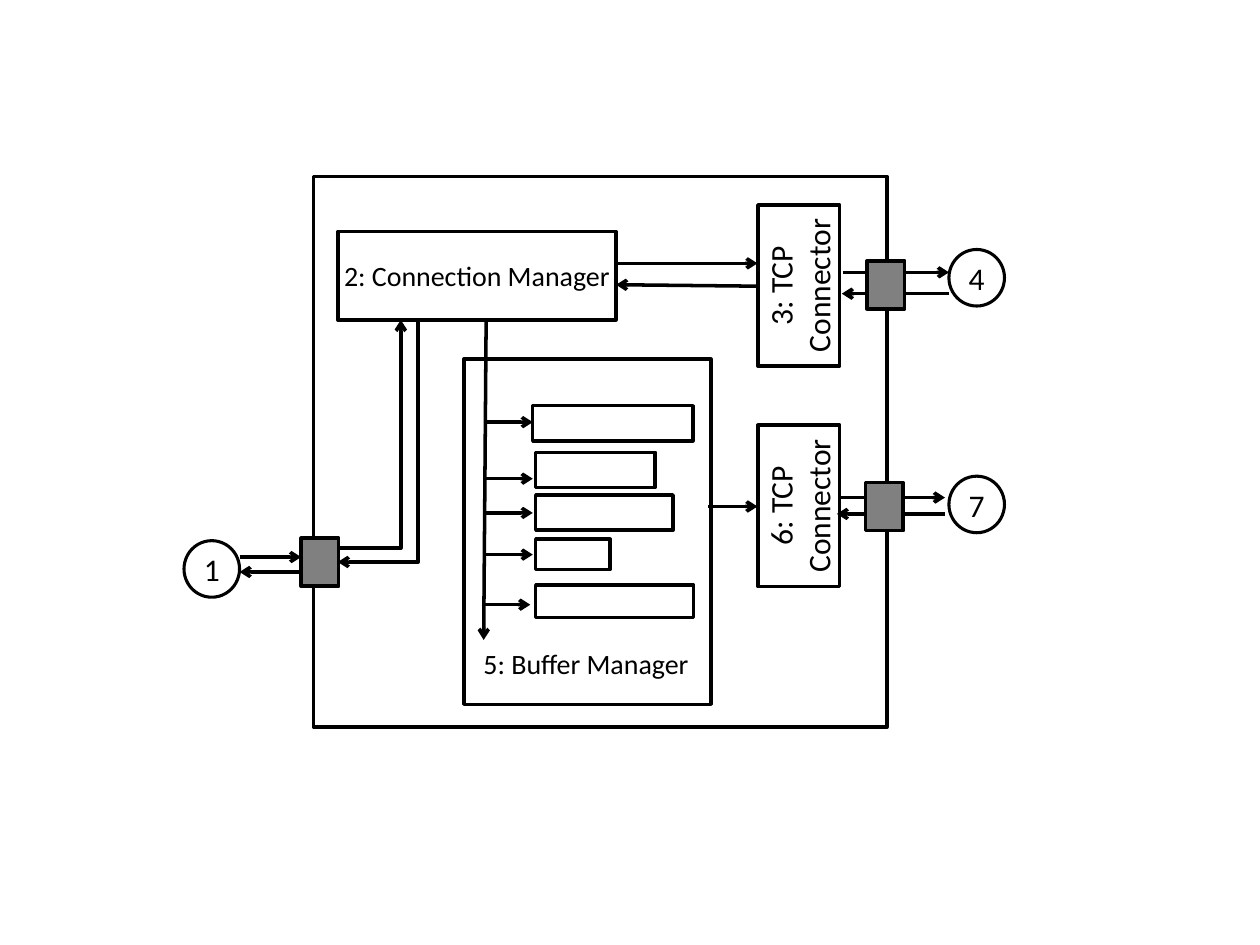
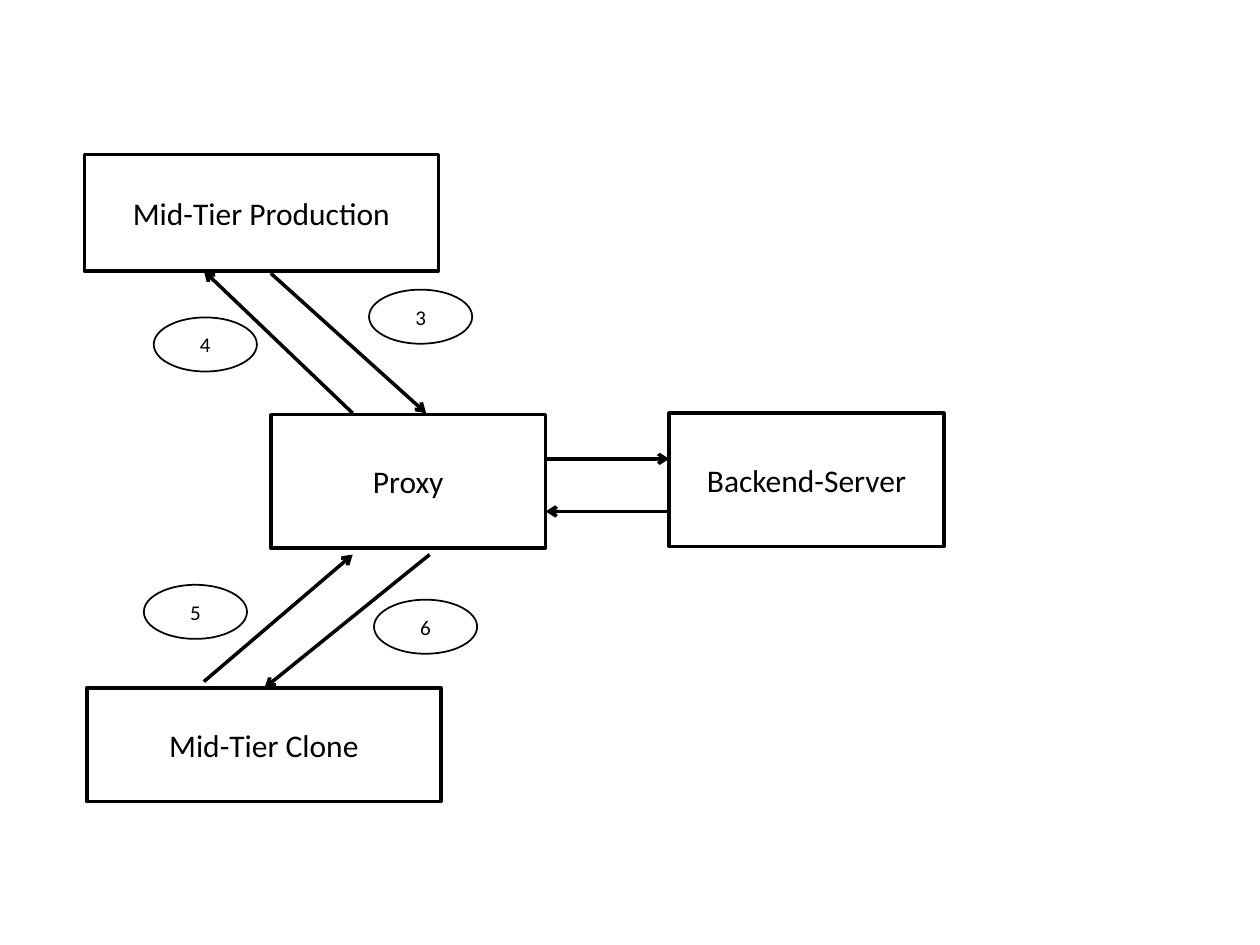
from pptx import Presentation
from pptx.dml.color import RGBColor
from pptx.enum.shapes import MSO_CONNECTOR as Link, MSO_SHAPE as Shape
from pptx.enum.text import MSO_ANCHOR as Anchor, PP_ALIGN as Align
from pptx.oxml.ns import qn
from pptx.util import Cm, Pt
from lxml.etree import SubElement

FONT = "Calibri"
INK = "000000"
PORT_GREY = "808080"
LINE_WIDTH = 2


def color(hex_code):
    return RGBColor.from_string(hex_code)


def write(shape, text, size=18, align=Align.CENTER):
    frame = shape.text_frame
    frame.word_wrap = True
    frame.vertical_anchor = Anchor.MIDDLE
    frame.margin_left = frame.margin_right = 0
    frame.margin_top = frame.margin_bottom = 0
    para = frame.paragraphs[0]
    para.alignment = align
    span = para.add_run()
    span.text = text
    span.font.name = FONT
    span.font.size = Pt(size)
    span.font.color.rgb = color(INK)


def add_box(page, left, top, width, height, text="", size=18,
            kind=Shape.RECTANGLE, fill=None, line=LINE_WIDTH, rotation=0):
    box = page.shapes.add_shape(kind, Cm(left), Cm(top), Cm(width), Cm(height))
    box.shadow.inherit = False
    box.rotation = rotation
    if fill:
        box.fill.solid()
        box.fill.fore_color.rgb = color(fill)
    else:
        box.fill.background()
    box.line.color.rgb = color(INK)
    box.line.width = Pt(line)
    if text:
        write(box, text, size)
    return box


def add_label(page, left, top, width, height, text, size):
    label = page.shapes.add_textbox(Cm(left), Cm(top), Cm(width), Cm(height))
    write(label, text, size)


def add_arrow(page, x1, y1, x2, y2, kind=Link.STRAIGHT, end="a:tailEnd"):
    arrow = page.shapes.add_connector(kind, Cm(x1), Cm(y1), Cm(x2), Cm(y2))
    arrow.line.color.rgb = color(INK)
    arrow.line.width = Pt(LINE_WIDTH)
    properties = arrow._element.spPr
    SubElement(properties.find(qn("a:ln")), qn(end), type="arrow")
    SubElement(properties, qn("a:effectLst"))
    return arrow


def add_elbow(page, right, top, left, bottom, end):
    """Line down from (right, top), then left to (left, bottom)."""
    center_x, center_y = (left + right) / 2, (top + bottom) / 2
    half_long, half_short = (bottom - top) / 2, (right - left) / 2
    # The box lies on its side and is turned by a quarter.
    elbow = add_arrow(page, center_x - half_long, center_y - half_short,
                      center_x + half_long, center_y + half_short,
                      Link.ELBOW, end)
    properties = elbow._element.spPr
    properties.find(qn("a:xfrm")).set("rot", str(90 * 60000))
    properties.find(qn("a:prstGeom")).set("prst", "bentConnector2")


def add_buffer_manager(page):
    add_box(page, 9.35, 7.24, 4.98, 6.96)
    add_label(page, 9.35, 12.9, 4.93, 0.94, "5: Buffer Manager", 16)
    add_arrow(page, 9.8, 6.45, 9.75, 12.9)
    buffers = [  # arrow start, arrow height, left, top, width, height
        (9.8, 8.51, 10.74, 8.18, 3.23, 0.71),
        (9.8, 9.65, 10.8, 9.12, 2.41, 0.71),
        (9.8, 10.34, 10.8, 9.98, 2.77, 0.71),
        (9.8, 11.18, 10.8, 10.87, 1.5, 0.61),
        (9.75, 12.19, 10.8, 11.79, 3.18, 0.66),
    ]
    for start, level, left, top, width, height in buffers:
        add_arrow(page, start, level, start + 0.94, level)
        add_box(page, left, top, width, height)


def build_proxy_inside(page):
    add_box(page, 6.32, 3.56, 11.56, 11.1)
    add_box(page, 6.81, 4.67, 5.61, 1.78, "2: Connection Manager", 16)
    for text, top in [("3: TCP Connector", 4.93), ("6: TCP Connector", 9.37)]:
        add_box(page, 14.48, top, 3.25, 1.65, text, rotation=270)
    add_buffer_manager(page)

    arrows = [
        (4.83, 11.23, 6.07, 11.23), (6.07, 11.53, 4.83, 11.53),
        (12.42, 5.31, 15.27, 5.31), (15.27, 5.77, 12.42, 5.74),
        (16.99, 5.49, 19.13, 5.49), (19.13, 5.92, 16.97, 5.92),
        (14.27, 10.21, 15.27, 10.21),
        (16.89, 10.03, 19.05, 10.03), (19.05, 10.36, 16.87, 10.36),
    ]
    for ends in arrows:
        add_arrow(page, *ends)
    add_elbow(page, 8.08, 6.45, 6.81, 11.05, "a:headEnd")
    add_elbow(page, 8.43, 6.45, 6.81, 11.33, "a:tailEnd")

    for left, top in [(6.07, 10.85), (17.48, 5.26), (17.45, 9.73)]:
        add_box(page, left, top, 0.76, 0.97, fill=PORT_GREY)
    for number, left, top in [("1", 3.71, 10.9), ("4", 19.13, 5.03),
                              ("7", 19.13, 9.6)]:
        add_box(page, left, top, 1.12, 1.14, number,
                kind=Shape.OVAL, line=1.75)


def build_tiers(page):
    servers = [
        ("Proxy", 5.46, 8.36, 5.54, 2.69),
        ("Mid-Tier Production", 1.7, 3.12, 7.14, 2.34),
        ("Mid-Tier Clone", 1.75, 13.87, 7.14, 2.29),
        ("Backend-Server", 13.49, 8.33, 5.54, 2.69),
    ]
    for text, *place in servers:
        add_box(page, *place, text)

    arrows = [
        (7.11, 8.33, 4.11, 5.46), (5.46, 5.51, 8.59, 8.33),
        (8.66, 11.18, 5.33, 13.87), (4.11, 13.74, 7.11, 11.18),
        (11, 9.25, 13.49, 9.25), (13.49, 10.31, 11, 10.31),
    ]
    for ends in arrows:
        add_arrow(page, *ends)

    for number, left, top in [("3", 7.44, 5.84), ("4", 3.1, 6.4),
                              ("5", 2.9, 11.79), ("6", 7.54, 12.09)]:
        add_box(page, left, top, 2.08, 1.09, number, 12,
                kind=Shape.OVAL, line=1)


def main():
    deck = Presentation()
    deck.slide_width, deck.slide_height = Cm(25.4), Cm(19.05)
    blank = deck.slide_layouts[6]
    for build in (build_proxy_inside, build_tiers):
        build(deck.slides.add_slide(blank))
    deck.save("out.pptx")


if __name__ == "__main__":
    main()
